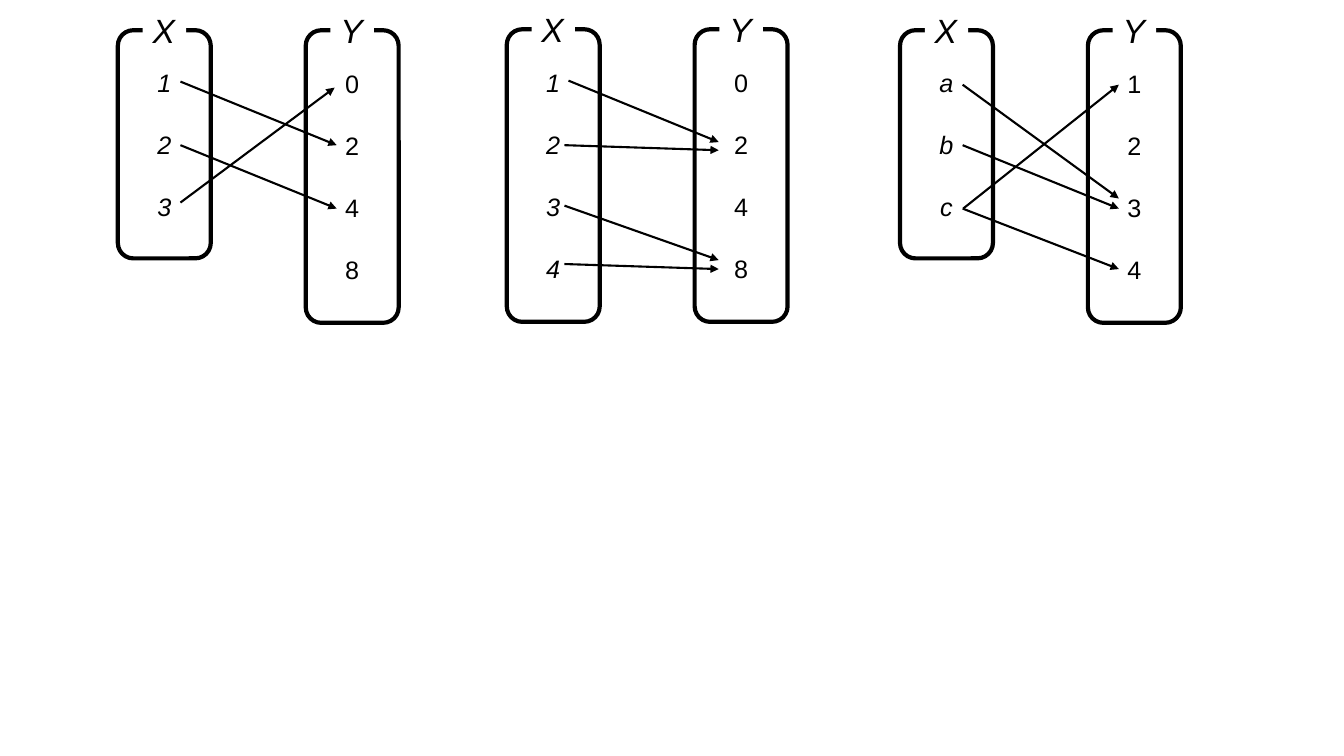
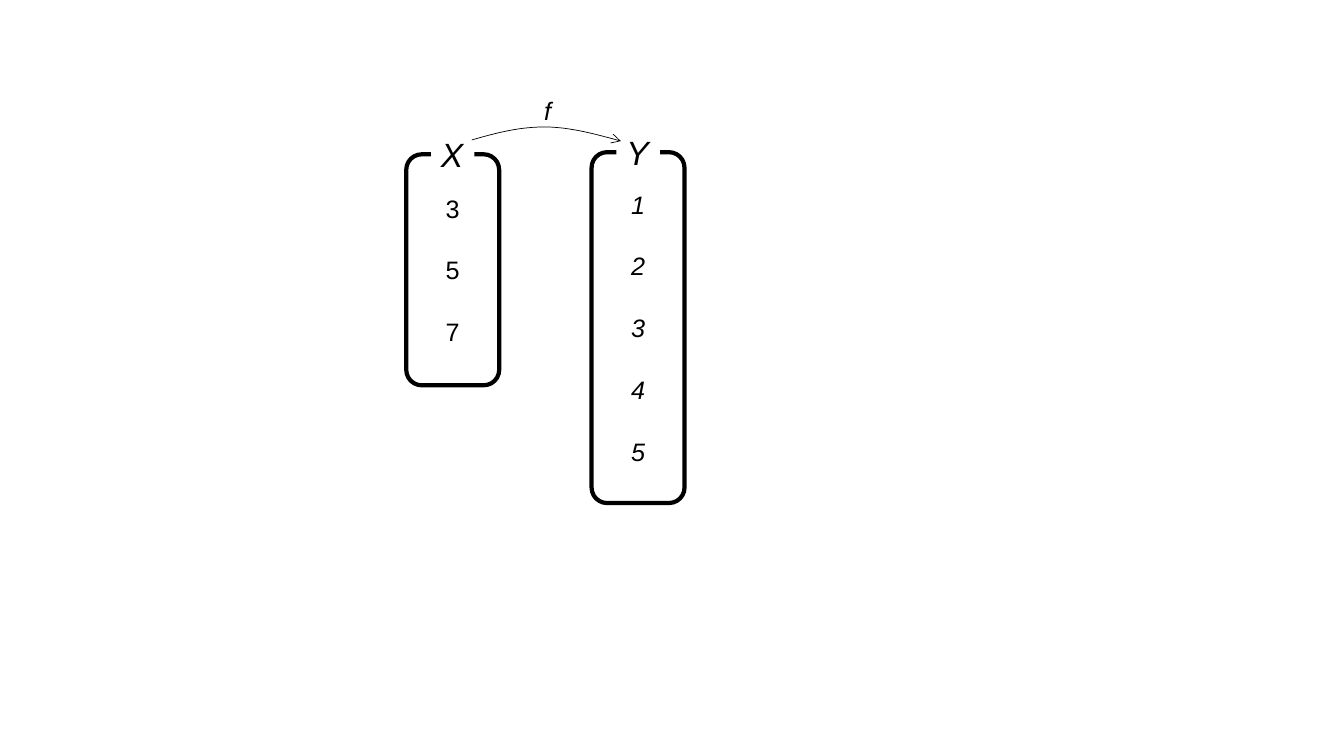
from dataclasses import dataclass

from lxml import etree
from pptx import Presentation
from pptx.dml.color import RGBColor
from pptx.enum.shapes import MSO_CONNECTOR, MSO_SHAPE
from pptx.enum.text import MSO_ANCHOR, PP_ALIGN
from pptx.oxml.ns import qn
from pptx.util import Pt

ROUNDED = MSO_SHAPE.ROUNDED_RECTANGLE
STRAIGHT = MSO_CONNECTOR.STRAIGHT
MIDDLE = MSO_ANCHOR.MIDDLE
CENTER = PP_ALIGN.CENTER


@dataclass(frozen=True)
class Theme:
    font: str = "Arial"
    ink: RGBColor = RGBColor(0, 0, 0)
    paper: RGBColor = RGBColor(255, 255, 255)
    member_size: float = 18
    name_size: float = 24
    outline: float = 3
    arrow: float = 1.5
    curve: float = 0.5


SET_WIDTH = 66.4
SET_GAP = 134.2
SET_HEIGHTS = {3: 163, 4: 209, 5: 250.6}
MEMBER_SPACING = 22.5
NAME_WIDTH, NAME_HEIGHT = 31, 36
CURVE_STEPS = 12


class Diagram:
    def __init__(self, presentation, theme):
        self.presentation = presentation
        self.theme = theme
        self.slide = None

    def new_slide(self):
        layout = self.presentation.slide_layouts[6]
        self.slide = self.presentation.slides.add_slide(layout)

    def style_text(self, paragraph, size, italic):
        font = paragraph.font
        font.name = self.theme.font
        font.size = Pt(size)
        font.italic = italic
        font.color.rgb = self.theme.ink

    def style_line(self, shape, width, arrowhead=None):
        shape.line.color.rgb = self.theme.ink
        shape.line.width = Pt(width)
        properties = shape._element.spPr
        if arrowhead:
            etree.SubElement(properties.find(qn("a:ln")), qn("a:tailEnd"), type=arrowhead)
        etree.SubElement(properties, qn("a:effectLst"))

    def label(self, text, left, top, width, height, size):
        shape = self.slide.shapes.add_textbox(Pt(left), Pt(top), Pt(width), Pt(height))
        shape.text_frame.word_wrap = True
        paragraph = shape.text_frame.paragraphs[0]
        paragraph.text = text
        self.style_text(paragraph, size, True)
        return shape

    def named_set(self, name, members, left, top, italic=False, height=None):
        height = height or SET_HEIGHTS[len(members)]
        shape = self.slide.shapes.add_shape(ROUNDED, Pt(left), Pt(top), Pt(SET_WIDTH), Pt(height))
        shape.fill.background()
        self.style_line(shape, self.theme.outline)
        frame = shape.text_frame
        frame.vertical_anchor = MIDDLE
        frame.text = "\n".join(members)
        for index, paragraph in enumerate(frame.paragraphs):
            paragraph.alignment = CENTER
            paragraph.space_before = Pt(MEMBER_SPACING if index else 0)
            self.style_text(paragraph, self.theme.member_size, italic)
        name_left = left + (SET_WIDTH - NAME_WIDTH) / 2
        name_top = top - NAME_HEIGHT / 2
        name_box = self.label(name, name_left, name_top, NAME_WIDTH, NAME_HEIGHT, self.theme.name_size)
        name_box.fill.solid()
        name_box.fill.fore_color.rgb = self.theme.paper

    def arrow(self, start, end):
        ends = [Pt(value) for value in (*start, *end)]
        connector = self.slide.shapes.add_connector(STRAIGHT, *ends)
        self.style_line(connector, self.theme.arrow, "triangle")

    def mapping(self, left, top, domain, codomain, arrows):
        self.named_set("X", domain, left, top, italic=True)
        self.named_set("Y", codomain, left + SET_GAP, top)
        for start, end in arrows:
            self.arrow(start, end)

    def curved_arrow(self, start, *segments):
        points = []
        origin = start
        for first, second, end in segments:
            for step in range(1, CURVE_STEPS + 1):
                t = step / CURVE_STEPS
                u = 1 - t
                weights = (u ** 3, 3 * u * u * t, 3 * u * t * t, t ** 3)
                controls = (origin, first, second, end)
                points.append(tuple(
                    Pt(sum(weight * point[axis] for weight, point in zip(weights, controls)))
                    for axis in (0, 1)
                ))
            origin = end
        builder = self.slide.shapes.build_freeform(Pt(start[0]), Pt(start[1]))
        builder.add_line_segments(points, close=False)
        shape = builder.convert_to_shape()
        shape.fill.background()
        self.style_line(shape, self.theme.curve, "arrow")


def build_mappings(diagram):
    diagram.new_slide()
    diagram.mapping(84.2, 21.6, "123", "0248", [
        ((128.9, 103.7), (240.5, 149)),
        ((128.9, 58.3), (240.5, 103.7)),
        ((128.9, 144.7), (239, 62.6)),
    ])
    diagram.mapping(362, 20.9, "1234", "0248", [
        ((406.1, 57.6), (513.4, 101.5)),
        ((403.2, 103.7), (513.4, 107.3)),
        ((403.2, 146.9), (513.4, 185.8)),
        ((403.2, 188.6), (513.4, 192.2)),
    ])
    diagram.mapping(642.9, 21.6, "abc", "1234", [
        ((687.6, 60.5), (799.2, 141.8)),
        ((687.6, 103.7), (799.2, 149)),
        ((688, 149), (799.2, 60.5)),
        ((687.6, 149), (799.2, 192.2)),
    ])


def build_function(diagram):
    diagram.new_slide()
    diagram.named_set("Y", "12345", 422.6, 108.7, italic=True)
    diagram.named_set("X", "357", 290.2, 110.2, height=165)
    diagram.curved_arrow(
        (337, 100),
        ((354.2, 95), (370.8, 90.7), (388.8, 90.7)),
        ((406.8, 90.7), (425.5, 95.8), (443.5, 100.8)),
    )
    diagram.label("f", 381.6, 64.8, 26.6, 28.8, diagram.theme.member_size)


def main():
    presentation = Presentation()
    presentation.slide_width = Pt(960)
    presentation.slide_height = Pt(540)
    diagram = Diagram(presentation, Theme())
    build_mappings(diagram)
    build_function(diagram)
    presentation.save("out.pptx")


if __name__ == "__main__":
    main()
